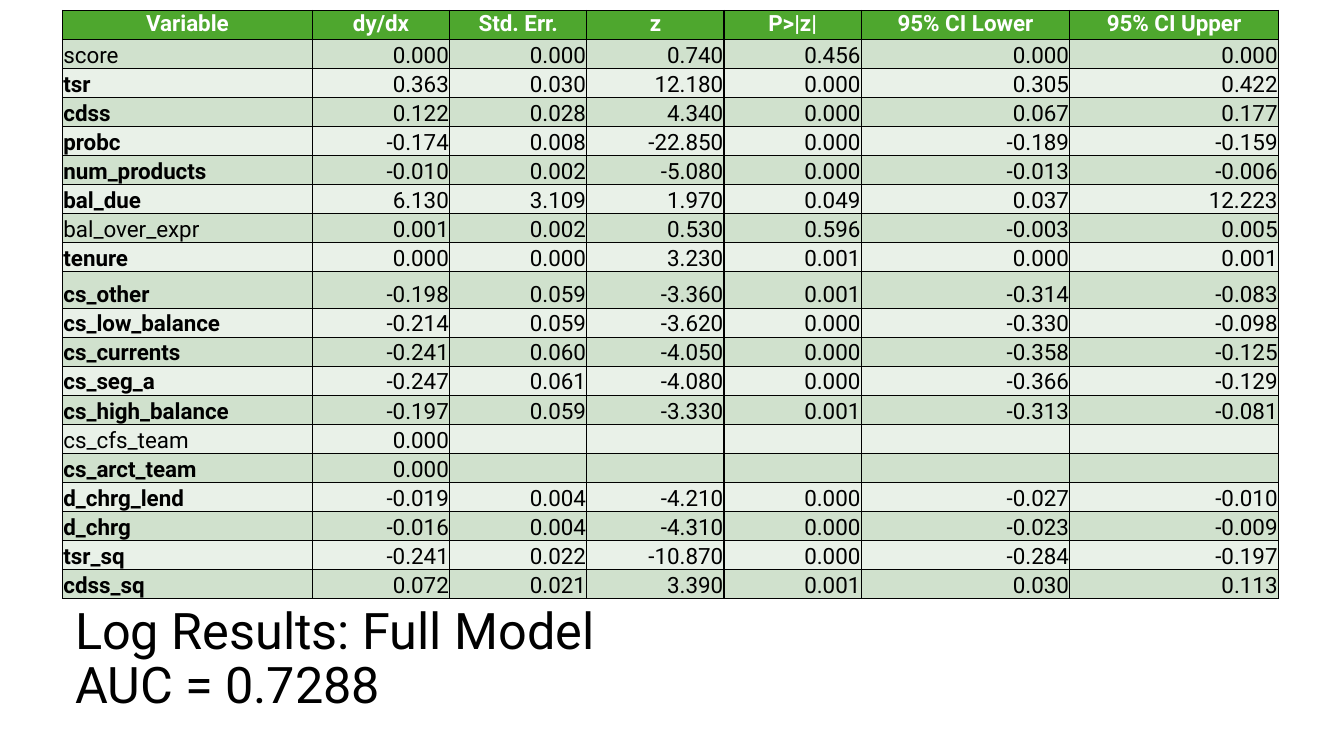
from lxml import etree
from pptx import Presentation
from pptx.dml.color import RGBColor
from pptx.enum.shapes import MSO_SHAPE
from pptx.enum.text import MSO_ANCHOR, PP_ALIGN
from pptx.oxml import parse_xml
from pptx.oxml.ns import nsdecls, qn
from pptx.util import Pt

RECTANGLE = MSO_SHAPE.RECTANGLE
TOP, MIDDLE, BOTTOM = MSO_ANCHOR.TOP, MSO_ANCHOR.MIDDLE, MSO_ANCHOR.BOTTOM
LEFT, CENTER, RIGHT = PP_ALIGN.LEFT, PP_ALIGN.CENTER, PP_ALIGN.RIGHT

TITLE_LINES = ["Log Results: Full Model", "AUC = 0.7288"]
HEADERS = ["Variable", "dy/dx", "Std. Err.", "z", "P>|z|", "95% CI Lower", "95% CI Upper"]
RESULTS = [
    ("score", "0.000", "0.000", "0.740", "0.456", "0.000", "0.000"),
    ("tsr", "0.363", "0.030", "12.180", "0.000", "0.305", "0.422"),
    ("cdss", "0.122", "0.028", "4.340", "0.000", "0.067", "0.177"),
    ("probc", "-0.174", "0.008", "-22.850", "0.000", "-0.189", "-0.159"),
    ("num_products", "-0.010", "0.002", "-5.080", "0.000", "-0.013", "-0.006"),
    ("bal_due", "6.130", "3.109", "1.970", "0.049", "0.037", "12.223"),
    ("bal_over_expr", "0.001", "0.002", "0.530", "0.596", "-0.003", "0.005"),
    ("tenure", "0.000", "0.000", "3.230", "0.001", "0.000", "0.001"),
    ("cs_other", "-0.198", "0.059", "-3.360", "0.001", "-0.314", "-0.083"),
    ("cs_low_balance", "-0.214", "0.059", "-3.620", "0.000", "-0.330", "-0.098"),
    ("cs_currents", "-0.241", "0.060", "-4.050", "0.000", "-0.358", "-0.125"),
    ("cs_seg_a", "-0.247", "0.061", "-4.080", "0.000", "-0.366", "-0.129"),
    ("cs_high_balance", "-0.197", "0.059", "-3.330", "0.001", "-0.313", "-0.081"),
    ("cs_cfs_team", "0.000", "", "", "", "", ""),
    ("cs_arct_team", "0.000", "", "", "", "", ""),
    ("d_chrg_lend", "-0.019", "0.004", "-4.210", "0.000", "-0.027", "-0.010"),
    ("d_chrg", "-0.016", "0.004", "-4.310", "0.000", "-0.023", "-0.009"),
    ("tsr_sq", "-0.241", "0.022", "-10.870", "0.000", "-0.284", "-0.197"),
    ("cdss_sq", "0.072", "0.021", "3.390", "0.001", "0.030", "0.113"),
]
PLAIN_VARIABLES = {"score", "bal_over_expr", "cs_cfs_team"}
TALL_VARIABLE = "cs_other"

THEME = {
    "font": "Roboto",
    "title_size": 36,
    "table_size": 16,
    "text": "000000",
    "header_text": "FFFFFF",
    "header_fill": "4EA72E",
    "bands": ("D0E1CD", "E9F1E8"),
    "panel": "FFFFFF",
    "border": "000000",
}
SLIDE_WIDTH, SLIDE_HEIGHT = 960, 540
PANEL_TOP, PANEL_HEIGHT = 404, 135
TITLE_BOX = (46.5, 427.5, 549.5, 88)
TABLE_LEFT, TABLE_TOP = 44.7, 7.4
COLUMN_WIDTHS = [178.5, 98, 98, 98, 98, 149, 149]
ROW_HEIGHT, TALL_ROW_HEIGHT = 20.77, 26
CELL_INSET = 0.6


def add_run(paragraph, text, size, color, bold=False):
    run = paragraph.add_run()
    run.text = text
    run.font.name = THEME["font"]
    run.font.size = Pt(size)
    run.font.bold = bold
    run.font.color.rgb = RGBColor.from_string(color)


def add_panel(slide):
    panel = slide.shapes.add_shape(
        RECTANGLE, Pt(0), Pt(PANEL_TOP), Pt(SLIDE_WIDTH), Pt(PANEL_HEIGHT))
    panel.fill.solid()
    panel.fill.fore_color.rgb = RGBColor.from_string(THEME["panel"])
    panel.line.fill.background()
    panel.shadow.inherit = False


def add_title(slide):
    frame = slide.shapes.add_textbox(*map(Pt, TITLE_BOX)).text_frame
    frame.word_wrap = True
    frame.vertical_anchor = MIDDLE
    paragraph = frame.paragraphs[0]
    paragraph.line_spacing = 0.9
    for index, line in enumerate(TITLE_LINES):
        if index:
            paragraph.add_line_break()
        add_run(paragraph, line, THEME["title_size"], THEME["text"])


def add_borders(cell):
    properties = cell._tc.get_or_add_tcPr()
    for side in ("lnL", "lnR", "lnT", "lnB"):
        properties.append(parse_xml(
            f'<a:{side} {nsdecls("a")} w="{Pt(1)}"><a:solidFill>'
            f'<a:srgbClr val="{THEME["border"]}"/></a:solidFill></a:{side}>'))


def fill_cell(cell, text, fill, color, bold, alignment, anchor):
    add_borders(cell)
    cell.fill.solid()
    cell.fill.fore_color.rgb = RGBColor.from_string(fill)
    cell.margin_left = cell.margin_right = cell.margin_top = Pt(CELL_INSET)
    cell.margin_bottom = Pt(0)
    cell.vertical_anchor = anchor
    paragraph = cell.text_frame.paragraphs[0]
    paragraph.alignment = alignment
    if text:
        add_run(paragraph, text, THEME["table_size"], color, bold)
    else:
        etree.SubElement(paragraph._p, qn("a:endParaRPr"), sz=str(THEME["table_size"] * 100))


def add_results_table(slide):
    heights = [ROW_HEIGHT] + [
        TALL_ROW_HEIGHT if result[0] == TALL_VARIABLE else ROW_HEIGHT for result in RESULTS]
    table = slide.shapes.add_table(
        len(heights), len(HEADERS), Pt(TABLE_LEFT), Pt(TABLE_TOP),
        Pt(sum(COLUMN_WIDTHS)), Pt(sum(heights))).table
    table.horz_banding = False
    for column, width in zip(table.columns, COLUMN_WIDTHS):
        column.width = Pt(width)
    for row, height in zip(table.rows, heights):
        row.height = Pt(height)
    for column, header in enumerate(HEADERS):
        fill_cell(table.cell(0, column), header, THEME["header_fill"],
                  THEME["header_text"], True, CENTER, TOP)
    for index, result in enumerate(RESULTS):
        for column, value in enumerate(result):
            is_name = column == 0
            fill_cell(table.cell(index + 1, column), value, THEME["bands"][index % 2],
                      THEME["text"], is_name and value not in PLAIN_VARIABLES,
                      LEFT if is_name else RIGHT, BOTTOM)


def main():
    presentation = Presentation()
    presentation.slide_width = Pt(SLIDE_WIDTH)
    presentation.slide_height = Pt(SLIDE_HEIGHT)
    slide = presentation.slides.add_slide(presentation.slide_layouts[6])
    add_panel(slide)
    add_title(slide)
    add_results_table(slide)
    presentation.save("out.pptx")


if __name__ == "__main__":
    main()
